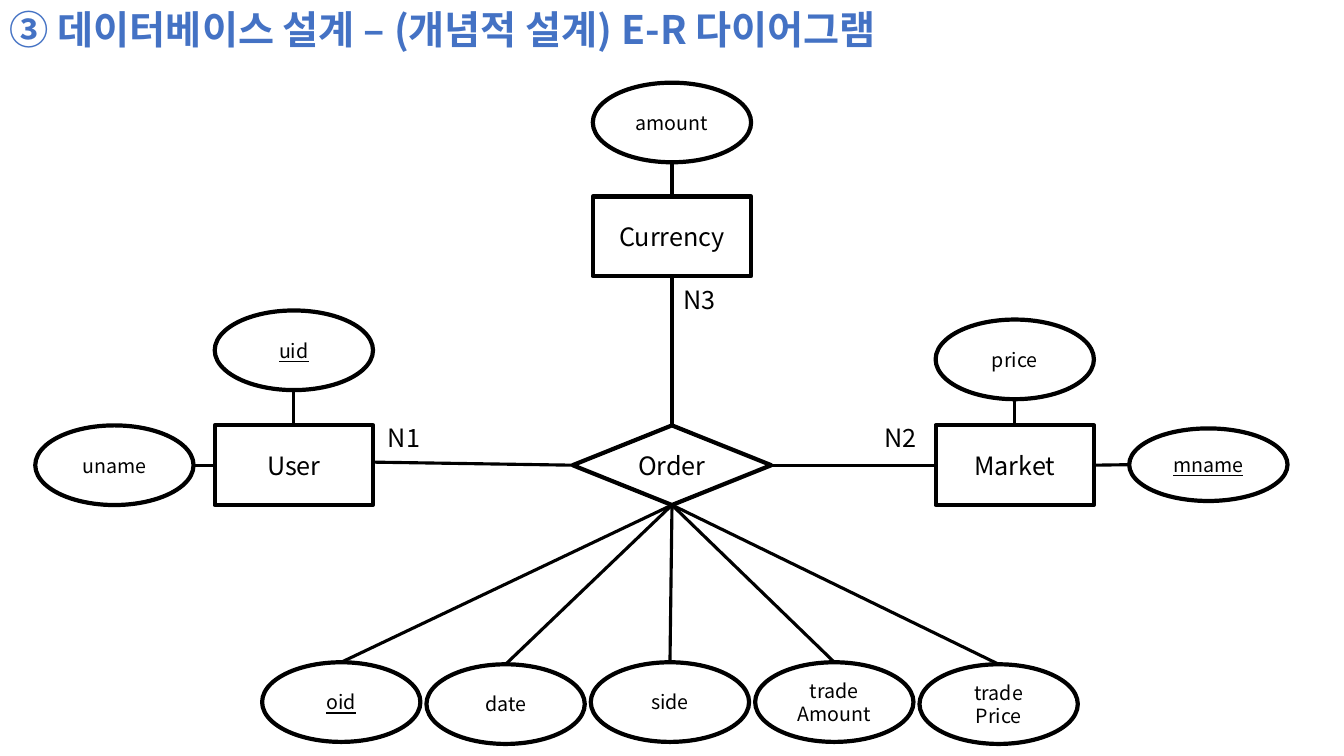
from pptx import Presentation
from pptx.dml.color import RGBColor
from pptx.enum.shapes import MSO_CONNECTOR, MSO_SHAPE
from pptx.enum.text import MSO_ANCHOR, MSO_AUTO_SIZE, PP_ALIGN
from pptx.oxml.ns import qn
from pptx.util import Inches, Pt
from lxml import etree

RECT, OVAL, RHOMB = MSO_SHAPE.RECTANGLE, MSO_SHAPE.OVAL, MSO_SHAPE.DIAMOND
LINE = MSO_CONNECTOR.STRAIGHT
MIDDLE, CENTER = MSO_ANCHOR.MIDDLE, PP_ALIGN.CENTER
FIT = MSO_AUTO_SIZE.SHAPE_TO_FIT_TEXT
TOP, LEFT, BOTTOM, RIGHT = range(4)

THEME = {
    "font": "Noto Sans CJK KR",
    "ink": RGBColor(0, 0, 0), "blue": RGBColor(0x44, 0x72, 0xC4),
    "title": 28, "entity": 18, "field": 14,
    "edge": 3, "link": 2.25,
}

TITLE = "③ 데이터베이스 설계 – (개념적 설계) E-R 다이어그램"
KEYS = {"uid", "mname", "oid"}
WIDE, HIGH = 1.57, 0.79

# name: left, top, width, height
ENTITIES = {
    "User": (2.13, 4.22, WIDE, HIGH),
    "Market": (9.28, 4.22, WIDE, HIGH),
    "Currency": (5.88, 1.95, WIDE, HIGH),
}
RELATIONS = {"Order": (5.68, 4.22, 1.97, HIGH)}
FIELDS = {
    "uid": (2.13, 3.08, WIDE, HIGH),
    "uname": (0.35, 4.22, WIDE, HIGH),
    "mname": (11.2, 4.25, WIDE, 0.72),
    "amount": (5.88, 0.82, WIDE, HIGH),
    "price": (9.28, 3.17, WIDE, HIGH),
}
ROW_LEFT, ROW_STEP = 2.6, 1.63
ORDER_ROW = [("oid", 6.57), ("date", 6.59), ("side", 6.57),
             ("trade\nAmount", 6.57), ("trade\nPrice", 6.59)]
for i, (name, top) in enumerate(ORDER_ROW):
    FIELDS[name] = (ROW_LEFT + i * ROW_STEP, top, WIDE, HIGH)

LINKS = [
    ("Currency", BOTTOM, "Order", TOP),
    ("Market", LEFT, "Order", RIGHT),
    ("mname", LEFT, "Market", RIGHT),
    ("amount", BOTTOM, "Currency", TOP),
    ("User", TOP, "uid", BOTTOM),
    ("uname", RIGHT, "User", LEFT),
    ("User", RIGHT, "Order", LEFT),
    ("Market", TOP, "price", BOTTOM),
] + [("Order", BOTTOM, name, TOP) for name, _ in ORDER_ROW]
SHIFTS = {("User", RIGHT): -0.03}  # ends that sit off the middle of a side

ROLES = [("N1", 3.75, 4.14), ("N2", 8.67, 4.14), ("N3", 6.68, 2.77)]


def style(frame, size, color, bold=False, under=False):
    for para in frame.paragraphs:
        for run in para.runs:
            font = run.font
            font.name, font.size, font.bold = THEME["font"], Pt(size), bold
            font.color.rgb = color
            if under:
                font.underline = True
            props = run._r.get_or_add_rPr()
            etree.SubElement(props, qn("a:ea")).set("typeface", THEME["font"])


def add_node(shapes, kind, name, box, size):
    node = shapes.add_shape(kind, *map(Inches, box))
    node.shadow.inherit = False
    node.fill.background()
    node.line.color.rgb = THEME["ink"]
    node.line.width = Pt(THEME["edge"])
    frame = node.text_frame
    frame.text = name
    frame.vertical_anchor = MIDDLE
    for para in frame.paragraphs:
        para.alignment = CENTER
    style(frame, size, THEME["ink"], under=name in KEYS)
    return node


def add_label(shapes, text, box, size, color, bold=False, wrap=False):
    label = shapes.add_textbox(*map(Inches, box))
    frame = label.text_frame
    frame.text = text
    frame.word_wrap = wrap
    frame.auto_size = FIT
    style(frame, size, color, bold)


def find_end(node, side, shift):
    """Return the middle of a node's side, moved down by shift inches."""
    across = {LEFT: 0, RIGHT: node.width}.get(side, node.width // 2)
    down = {TOP: 0, BOTTOM: node.height}.get(side, node.height // 2)
    return node.left + across, node.top + down + Inches(shift)


def add_link(shapes, nodes, link):
    ends = [link[:2], link[2:]]
    spots = [find_end(nodes[name], side, SHIFTS.get((name, side), 0))
             for name, side in ends]
    line = shapes.add_connector(LINE, *spots[0], *spots[1])
    line.line.color.rgb = THEME["ink"]
    line.line.width = Pt(THEME["link"])
    etree.SubElement(line._element.spPr, qn("a:effectLst"))
    for end, join in zip(ends, (line.begin_connect, line.end_connect)):
        if end[0] not in FIELDS and end not in SHIFTS:
            join(nodes[end[0]], end[1])


def main():
    deck = Presentation()
    deck.slide_width, deck.slide_height = Inches(13.33), Inches(7.5)
    shapes = deck.slides.add_slide(deck.slide_layouts[6]).shapes

    nodes = {}
    for kind, group, size in [(RECT, ENTITIES, THEME["entity"]),
                              (RHOMB, RELATIONS, THEME["entity"]),
                              (OVAL, FIELDS, THEME["field"])]:
        for name, box in group.items():
            nodes[name] = add_node(shapes, kind, name, box, size)
    for link in LINKS:
        add_link(shapes, nodes, link)
    for text, left, top in ROLES:
        add_label(shapes, text, (left, top, 0.53, 0.4),
                  THEME["entity"], THEME["ink"])
    add_label(shapes, TITLE, (0, 0, 11.2, 0.57), THEME["title"],
              THEME["blue"], bold=True, wrap=True)
    deck.save("out.pptx")


if __name__ == "__main__":
    main()
